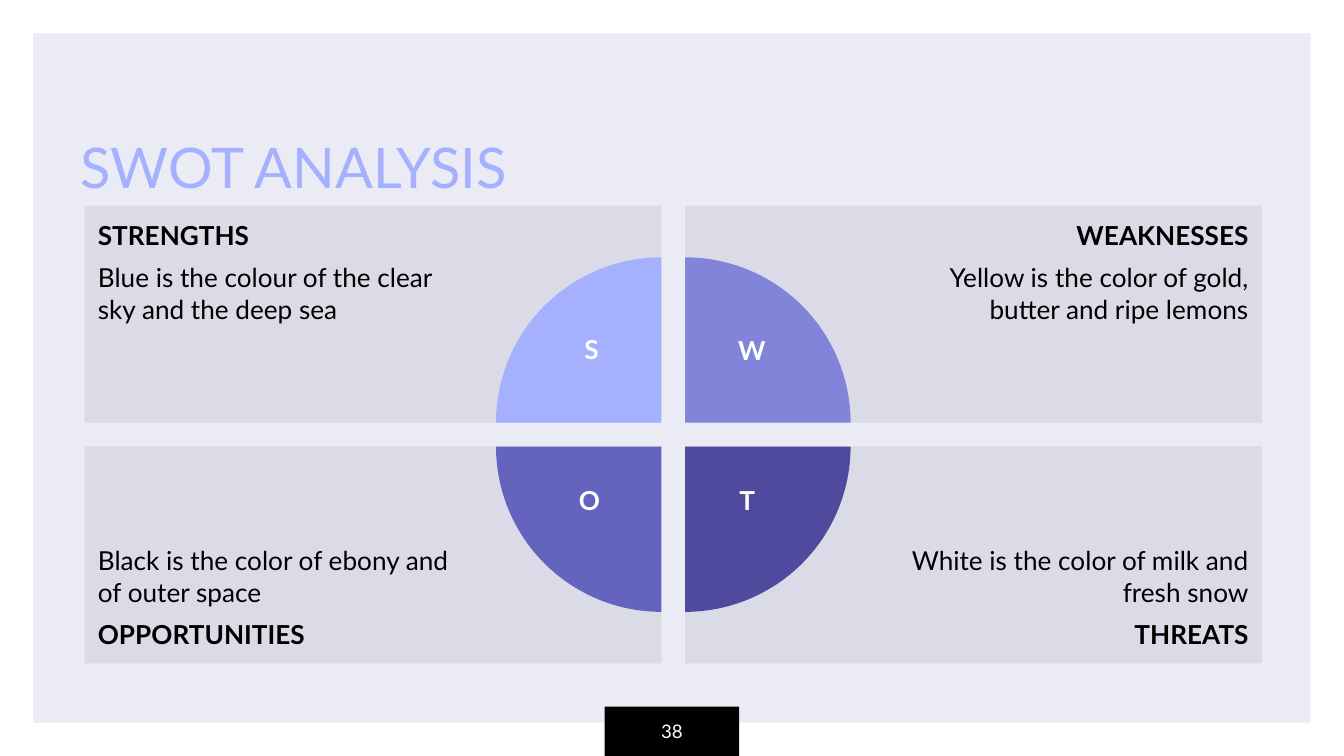
from pptx import Presentation
from pptx import util as u
from pptx.dml.color import RGBColor
from pptx.enum import shapes, text

LEFT, CENTER, RIGHT = text.PP_ALIGN.LEFT, text.PP_ALIGN.CENTER, text.PP_ALIGN.RIGHT
TOP, MIDDLE, BOTTOM = text.MSO_ANCHOR.TOP, text.MSO_ANCHOR.MIDDLE, text.MSO_ANCHOR.BOTTOM


def add_filled(kind, left, top, width, height, color):
    shape = slide.shapes.add_shape(kind, u.Cm(left), u.Cm(top), u.Cm(width), u.Cm(height))
    shape.shadow.inherit = False
    shape.fill.solid()
    shape.fill.fore_color.rgb = RGBColor.from_string(color)
    shape.line.fill.background()
    return shape


def format_paragraph(paragraph, size, color, align, bold=False):
    paragraph.alignment = align
    for run in paragraph.runs:
        run.font.name = "Lato"
        run.font.size = u.Pt(size)
        run.font.bold = bold
        run.font.color.rgb = RGBColor.from_string(color)


prs = Presentation()
prs.slide_width, prs.slide_height = u.Cm(25.4), u.Cm(14.29)
slide = prs.slides.add_slide(prs.slide_layouts[5])
slide.background.fill.solid()
slide.background.fill.fore_color.rgb = RGBColor.from_string("EAEBF4")

border = add_filled(shapes.MSO_SHAPE.FRAME, 0, 0, 25.4, 14.29, "FFFFFF")
border.adjustments[0] = 0.044

page_number = add_filled(shapes.MSO_SHAPE.RECTANGLE, 11.43, 13.36, 2.54, 0.93, "000000")
page_number.text_frame.text = "38"
page_number.text_frame.vertical_anchor = MIDDLE
format_paragraph(page_number.text_frame.paragraphs[0], 10, "FFFFFF", CENTER)

title = slide.shapes.title
title.left, title.top, title.width, title.height = u.Cm(1.27), u.Cm(1.63), u.Cm(14.27), u.Cm(2.39)
title.text_frame.text = "SWOT ANALYSIS"
title.text_frame.vertical_anchor = BOTTOM
title.text_frame.margin_left = title.text_frame.margin_bottom = u.Cm(0.25)
format_paragraph(title.text_frame.paragraphs[0], 30, "A5B0FE", LEFT)

# Column, row, heading, description, colour, quarter rotation, letter, letter centre and top
quadrants = [
    (0, 0, "STRENGTHS", "Blue is the colour of the clear sky and the deep sea",
     "A5B0FE", 0, "S", 11.18, 6.17),
    (1, 0, "WEAKNESSES", "Yellow is the color of gold, butter and ripe lemons",
     "8184D9", 90, "W", 14.21, 6.2),
    (0, 1, "OPPORTUNITIES", "Black is the color of ebony and of outer space",
     "6463BD", 270, "O", 11.14, 9.04),
    (1, 1, "THREATS", "White is the color of milk and fresh snow",
     "4F4A9E", 180, "T", 14.12, 9.04),
]
panel_left, panel_top, panel_width, panel_height, gap = 1.6, 3.89, 10.9, 4.1, 0.45
diameter = 6.25
letter_width = 1.5

for col, row, heading, description, *_ in quadrants:
    panel = add_filled(shapes.MSO_SHAPE.RECTANGLE,
                       panel_left + col * (panel_width + gap),
                       panel_top + row * (panel_height + gap),
                       panel_width, panel_height, "DADBE6")
    frame = panel.text_frame
    frame.word_wrap = True
    frame.vertical_anchor = BOTTOM if row else TOP
    frame.margin_top = frame.margin_bottom = u.Cm(0.25)
    # The wide margin keeps the text clear of the circle
    frame.margin_left = u.Cm(3.81 if col else 0.25)
    frame.margin_right = u.Cm(0.25 if col else 3.81)
    lines = [description, heading] if row else [heading, description]
    frame.text = "\n".join(lines)
    for paragraph in frame.paragraphs:
        format_paragraph(paragraph, 14, "000000", RIGHT if col else LEFT,
                         bold=paragraph.text == heading)
    frame.paragraphs[1].space_before = frame.paragraphs[1].space_after = u.Pt(6)

for col, row, _, _, color, rotation, letter, letter_center, letter_top in quadrants:
    quarter = add_filled(shapes.MSO_SHAPE.PIE,
                         panel_left + panel_width + col * gap - diameter / 2,
                         panel_top + panel_height + row * gap - diameter / 2,
                         diameter, diameter, color)
    # Adjustments are in 100000ths, angles in 60000ths of a degree: 180° to 270°
    quarter.adjustments[0], quarter.adjustments[1] = 108, 162
    quarter.rotation = rotation

    label = slide.shapes.add_textbox(u.Cm(letter_center - letter_width / 2), u.Cm(letter_top),
                                     u.Cm(letter_width), u.Cm(1.15))
    label.text_frame.word_wrap = True
    label.text_frame.text = letter
    format_paragraph(label.text_frame.paragraphs[0], 14, "FFFFFF", CENTER, bold=True)

prs.save("out.pptx")
